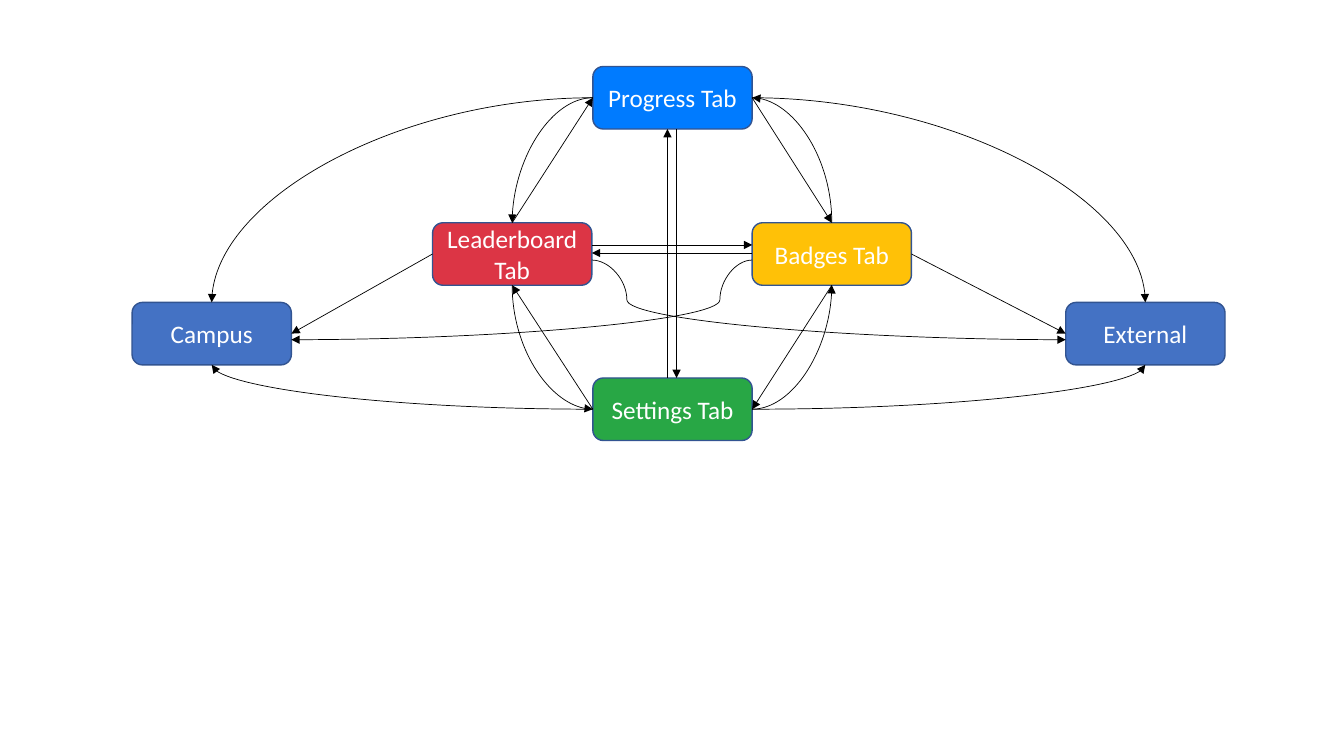
"""Build a slide that maps the navigation between tabs and outside pages."""
import lxml.etree
import pptx
import pptx.dml.color
import pptx.enum.shapes
import pptx.enum.text
import pptx.oxml.ns
import pptx.util

COLORS = {
    "blue": "007BFF", "steel": "4472C4", "yellow": "FFC107", "green": "28A745",
    "red": "DC3545", "border": "325491", "text": "FFFFFF", "arrow": "000000",
}
BOX_WIDTH, BOX_HEIGHT = 1.58, 0.62
BOXES = {
    "Progress Tab": (5.88, 0.66, "blue"),
    "Campus": (1.31, 3.0, "steel"),
    "External": (10.57, 3.0, "steel"),
    "Badges Tab": (7.46, 2.21, "yellow"),
    "Settings Tab": (5.88, 3.75, "green"),
    "Leaderboard Tab": (4.29, 2.21, "red"),
}
SIDES = {"top": (0, 0.5, 0), "left": (1, 0, 0.5), "bottom": (2, 0.5, 1), "right": (3, 1, 0.5)}

STRAIGHT_ARROWS = [
    ("Leaderboard Tab", "top", "Progress Tab", "left", 0),
    ("Settings Tab", "left", "Leaderboard Tab", "bottom", 0),
    ("Badges Tab", "bottom", "Settings Tab", "right", 0),
    ("Progress Tab", "right", "Badges Tab", "top", 0),
    ("Leaderboard Tab", "left", "Campus", "right", 0),
    ("Badges Tab", "right", "External", "left", 0),
    ("Progress Tab", "bottom", "Settings Tab", "top", 0.04),
    ("Settings Tab", "top", "Progress Tab", "bottom", -0.05),
    ("Leaderboard Tab", "right", "Badges Tab", "left", -0.09),
    ("Badges Tab", "left", "Leaderboard Tab", "right", -0.01),
]
ARC_ARROWS = [
    ("Progress Tab", "left", "Leaderboard Tab", "top"),
    ("Leaderboard Tab", "bottom", "Settings Tab", "left"),
    ("Settings Tab", "right", "Badges Tab", "bottom"),
    ("Badges Tab", "top", "Progress Tab", "right"),
    ("Progress Tab", "left", "Campus", "top"),
    ("Settings Tab", "left", "Campus", "bottom"),
    ("Progress Tab", "right", "External", "top"),
    ("Settings Tab", "right", "External", "bottom"),
]
BEND_ARROWS = [
    ("Leaderboard Tab", "right", "External", "left", 0.06, 7400),
    ("Badges Tab", "left", "Campus", "right", 0.06, 7000),
]


def color(name):
    return pptx.dml.color.RGBColor.from_string(COLORS[name])


def write_text(shape, text, size=18, font="Calibri", fill="text"):
    frame = shape.text_frame
    frame.word_wrap = True
    frame.vertical_anchor = pptx.enum.text.MSO_ANCHOR.MIDDLE
    paragraph = frame.paragraphs[0]
    paragraph.alignment = pptx.enum.text.PP_ALIGN.CENTER
    run = paragraph.add_run()
    run.text = text
    run.font.size = pptx.util.Pt(size)
    run.font.name = font
    run.font.color.rgb = color(fill)


def add_box(slide, label, left, top, fill):
    shape = slide.shapes.add_shape(
        pptx.enum.shapes.MSO_SHAPE.ROUNDED_RECTANGLE,
        *(pptx.util.Inches(length) for length in (left, top, BOX_WIDTH, BOX_HEIGHT)))
    shape.shadow.inherit = False
    shape.fill.solid()
    shape.fill.fore_color.rgb = color(fill)
    shape.line.color.rgb = color("border")
    shape.line.width = pptx.util.Pt(1)
    write_text(shape, label)
    return shape


def anchor(label, side, offset=0):
    left, top, _ = BOXES[label]
    _, across, down = SIDES[side]
    x, y = left + BOX_WIDTH * across, top + BOX_HEIGHT * down
    return (x + offset, y) if side in ("top", "bottom") else (x, y + offset)


def add_arrow(slide, kind, start, end):
    connector = slide.shapes.add_connector(
        kind, *(pptx.util.Inches(length) for length in (*start, *end)))
    connector.line.color.rgb = color("arrow")
    connector.line.width = pptx.util.Pt(0.5)
    properties = connector._element.spPr
    line = properties.find(pptx.oxml.ns.qn("a:ln"))
    lxml.etree.SubElement(line, pptx.oxml.ns.qn("a:tailEnd"), type="triangle")
    lxml.etree.SubElement(properties, pptx.oxml.ns.qn("a:effectLst"))
    return connector


def add_arc(slide, start, end, starts_vertical):
    if starts_vertical:
        center = [(a + b) / 2 for a, b in zip(start, end)]
        half = ((start[1] - end[1]) / 2, (end[0] - start[0]) / 2)
        start = [c - h for c, h in zip(center, half)]
        end = [c + h for c, h in zip(center, half)]
    connector = add_arrow(slide, pptx.enum.shapes.MSO_CONNECTOR.CURVE, start, end)
    properties = connector._element.spPr
    properties.find(pptx.oxml.ns.qn("a:prstGeom")).set("prst", "curvedConnector2")
    if starts_vertical:
        properties.find(pptx.oxml.ns.qn("a:xfrm")).set("rot", str(270 * 60000))


def main():
    presentation = pptx.Presentation()
    presentation.slide_width = pptx.util.Inches(13.33)
    presentation.slide_height = pptx.util.Inches(7.5)
    slide = presentation.slides.add_slide(presentation.slide_layouts[6])
    shapes = {label: add_box(slide, label, *place) for label, place in BOXES.items()}

    for source, source_side, target, target_side in ARC_ARROWS:
        add_arc(slide, anchor(source, source_side), anchor(target, target_side),
                source_side in ("top", "bottom"))

    for source, source_side, target, target_side, offset in STRAIGHT_ARROWS:
        connector = add_arrow(
            slide, pptx.enum.shapes.MSO_CONNECTOR.STRAIGHT,
            anchor(source, source_side, offset), anchor(target, target_side, offset))
        if offset == 0:
            connector.begin_connect(shapes[source], SIDES[source_side][0])
            connector.end_connect(shapes[target], SIDES[target_side][0])

    for source, source_side, target, target_side, offset, bend in BEND_ARROWS:
        connector = add_arrow(
            slide, pptx.enum.shapes.MSO_CONNECTOR.CURVE,
            anchor(source, source_side, offset), anchor(target, target_side, offset))
        geometry = connector._element.spPr.find(pptx.oxml.ns.qn("a:prstGeom"))
        guides = geometry.find(pptx.oxml.ns.qn("a:avLst"))
        lxml.etree.SubElement(
            guides, pptx.oxml.ns.qn("a:gd"), name="adj1", fmla=f"val {bend}")

    presentation.save("out.pptx")


if __name__ == "__main__":
    main()
